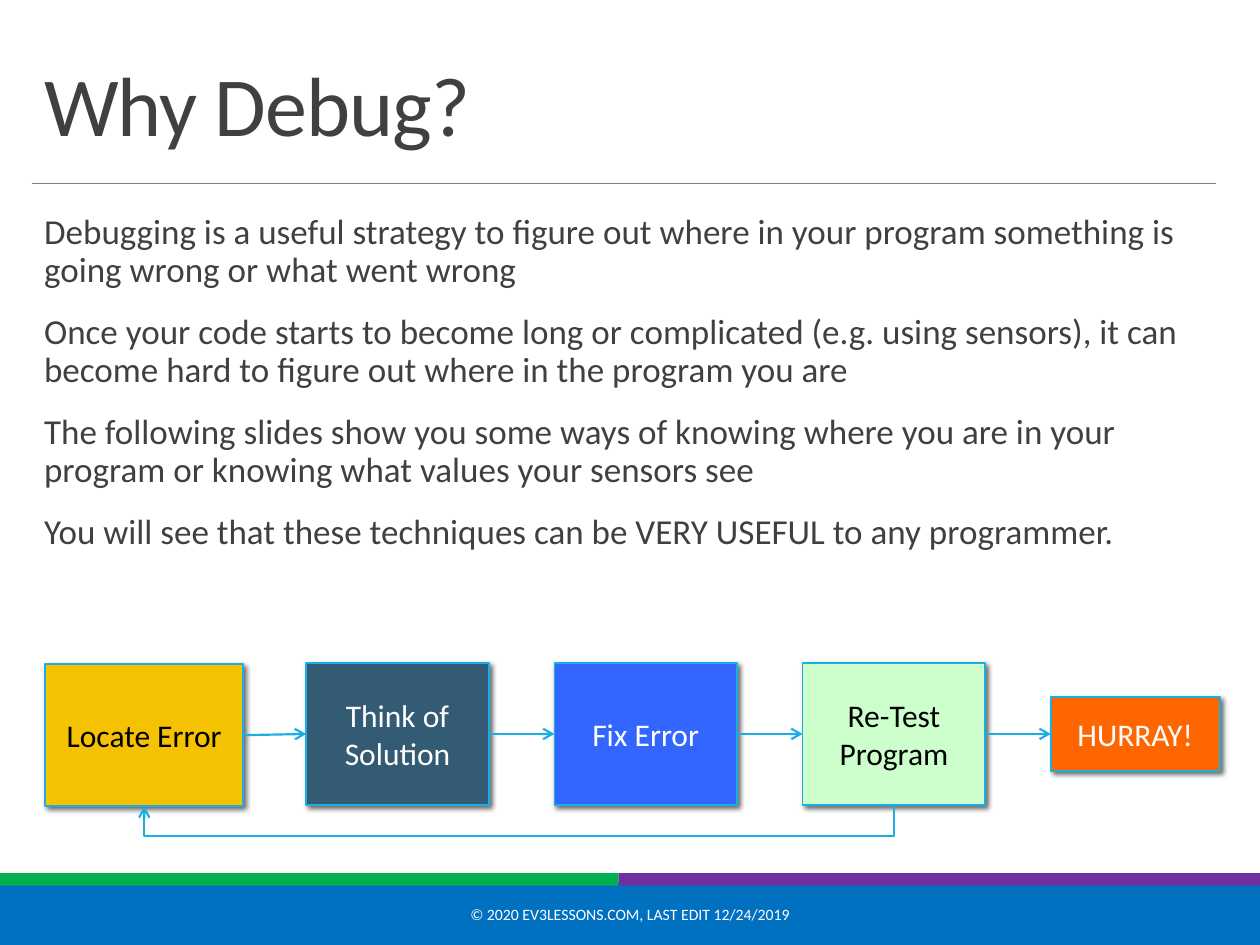
from lxml import etree
from pptx import Presentation
from pptx import util as u
from pptx.dml.color import RGBColor
from pptx.enum import shapes, text
from pptx.oxml import ns

HUES = {
    "ink": "404040", "rule": "808080", "edge": "1CADE4", "base": "0070C0",
    "green": "00B050", "purple": "7030A0", "black": "000000", "white": "FFFFFF",
    "gold": "F5C201", "slate": "335B74", "blue": "3366FF", "mint": "CCFFCC",
    "orange": "FF6600",
}
COLS, ROWS = 100, 75

POINTS = [
    "Debugging is a useful strategy to figure out where in your program "
    "something is going wrong or what went wrong",
    "Once your code starts to become long or complicated (e.g. using sensors), "
    "it can become hard to figure out where in the program you are",
    "The following slides show you some ways of knowing where you are in your "
    "program or knowing what values your sensors see",
    "You will see that these techniques can be VERY USEFUL to any programmer.",
]


def sub(node, tag, **attrs):
    return etree.SubElement(node, ns.qn(tag), {k: str(v) for k, v in attrs.items()})


class Deck:
    """Holds the style and the current slide; places are grid columns and rows."""

    font = "Calibri"

    def __init__(self):
        self.prs = Presentation()
        self.prs.slide_width, self.prs.slide_height = u.Inches(10), u.Inches(7.5)
        self.slide = self.prs.slides.add_slide(self.prs.slide_layouts[1])

    def grid(self, *nums):
        """Turn column, row, column, row... into lengths."""
        units = self.prs.slide_width / COLS, self.prs.slide_height / ROWS
        return [u.Emu(round(n * units[i % 2])) for i, n in enumerate(nums)]

    def hue(self, name):
        return RGBColor.from_string(HUES[name])

    def move(self, item, *box):
        item.left, item.top, item.width, item.height = self.grid(*box)

    def style(self, para, size, hue, align):
        para.alignment = align
        para.font.name, para.font.size = self.font, u.Pt(size)
        para.font.color.rgb = self.hue(hue)

    def title(self, words, *box):
        item = self.slide.shapes.title
        self.move(item, *box)
        frame = item.text_frame
        frame.text = words
        frame.auto_size = text.MSO_AUTO_SIZE.NONE
        frame.vertical_anchor = text.MSO_ANCHOR.BOTTOM
        para = frame.paragraphs[0]
        para.line_spacing = 0.85
        self.style(para, 48, "ink", text.PP_ALIGN.LEFT)
        para.runs[0].font._element.set("spc", "-50")

    def body(self, lines, *box):
        item = self.slide.placeholders[1]
        self.move(item, *box)
        frame = item.text_frame
        frame.text = "\n".join(lines)
        frame.auto_size = text.MSO_AUTO_SIZE.NONE
        frame.margin_left = frame.margin_right = 0
        for i, para in enumerate(frame.paragraphs):
            para.line_spacing = 0.9
            para.space_before, para.space_after = u.Pt(12 if i else 0), u.Pt(2)
            props = para._p.get_or_add_pPr()
            props.set("marL", str(u.Inches(0.1)))
            props.set("indent", str(u.Inches(-0.1)))
            sub(sub(props, "a:buClr"), "a:srgbClr", val=HUES["edge"])
            sub(props, "a:buChar", char=" ")
            self.style(para, 20, "ink", text.PP_ALIGN.LEFT)

    def label(self, item, words, size, hue):
        frame = item.text_frame
        frame.text, frame.word_wrap = words, True
        frame.vertical_anchor = text.MSO_ANCHOR.MIDDLE
        self.style(frame.paragraphs[0], size, hue, text.PP_ALIGN.CENTER)

    def note(self, words, *box):
        self.label(self.slide.shapes.add_textbox(*self.grid(*box)), words, 9, "white")

    def block(self, kind, fill, *box):
        item = self.slide.shapes.add_shape(kind, *self.grid(*box))
        item.shadow.inherit = False
        item.fill.solid()
        item.fill.fore_color.rgb = self.hue(fill)
        return item

    def bar(self, fill, *box):
        item = self.block(shapes.MSO_SHAPE.RECTANGLE, fill, *box)
        item.line.fill.background()

    def step(self, words, fill, hue, *box):
        """Add a flow chart box with a soft shadow."""
        item = self.block(shapes.MSO_SHAPE.FLOWCHART_PROCESS, fill, *box)
        item.line.color.rgb, item.line.width = self.hue("edge"), u.Pt(1)
        self.label(item, words, 18, hue)
        effects = item.element.spPr.find(ns.qn("a:effectLst"))
        shade = sub(effects, "a:outerShdw", blurRad=u.Pt(3), dist=u.Pt(2),
                    dir=45 * 60000, algn="ctr", rotWithShape=0)
        sub(sub(shade, "a:srgbClr", val=HUES["black"]), "a:alpha", val=60000)
        return item

    def line(self, kind, hue, width, *ends, arrow=False):
        item = self.slide.shapes.add_connector(kind, *self.grid(*ends))
        item.line.color.rgb, item.line.width = self.hue(hue), u.Pt(width)
        props = item.element.spPr
        if arrow:
            sub(props.find(ns.qn("a:ln")), "a:tailEnd", type="arrow")
        sub(props, "a:effectLst")
        return item

    def link(self, start, end, kind=shapes.MSO_CONNECTOR.STRAIGHT, sites=(3, 1)):
        item = self.line(kind, "edge", 1.25, 0, 0, 1, 1, arrow=True)
        item.begin_connect(start, sites[0])
        item.end_connect(end, sites[1])
        return item

    def loop(self, start, end, drop):
        """Lead an elbow back from bottom to bottom, dipping by drop rows."""
        item = self.link(start, end, shapes.MSO_CONNECTOR.ELBOW, (2, 2))
        right, high = item.begin_x, item.begin_y
        left, low = item.end_x, item.end_y
        span, rise = right - left, low - high
        frame = item.element.spPr.xfrm
        frame.flipH = frame.flipV = False
        frame.set("rot", str(90 * 60000))
        item.left = u.Emu((left + right - rise) // 2)
        item.top = u.Emu((high + low - span) // 2)
        item.width, item.height = u.Emu(rise), u.Emu(span)
        depth = self.grid(0, drop)[1]
        guides = item.element.spPr.prstGeom.get_or_add_avLst()
        sub(guides, "a:gd", name="adj1", fmla=f"val {round(depth / rise * 100000)}")


def main():
    deck = Deck()
    deck.bar("base", 0, 70, COLS, 5)
    split = 49.1
    deck.bar("green", 0, 69.3, split, 1)
    deck.bar("purple", split, 69.3, COLS - split, 1)
    deck.line(shapes.MSO_CONNECTOR.STRAIGHT, "rule", 0.5, 2.5, 14.6, 96.5, 14.6)
    deck.title("Why Debug?", 2.5, 3.1, 94, 9.6)
    deck.body(POINTS, 2.5, 16.5, 94, 50.9)
    deck.note("© 2020 EV3LESSONS.COM, LAST EDIT 12/24/2019", 30.2, 70.6, 39.6, 4)

    steps = [deck.step("Locate Error", "gold", "black", 3.6, 52.7, 15.7, 11.3)]
    middle = [("Think of Solution", "slate", "white"), ("Fix Error", "blue", "white"),
              ("Re-Test Program", "mint", "black")]
    for i, look in enumerate(middle):
        steps.append(deck.step(*look, 24.3 + 19.7 * i, 52.6, 14.5, 11.3))
    steps.append(deck.step("HURRAY!", "orange", "white", 83.4, 55.3, 13.4, 5.9))
    for start, end in zip(steps, steps[1:]):
        deck.link(start, end)
    deck.loop(steps[3], steps[0], 2.5)
    deck.prs.save("out.pptx")


if __name__ == "__main__":
    main()
